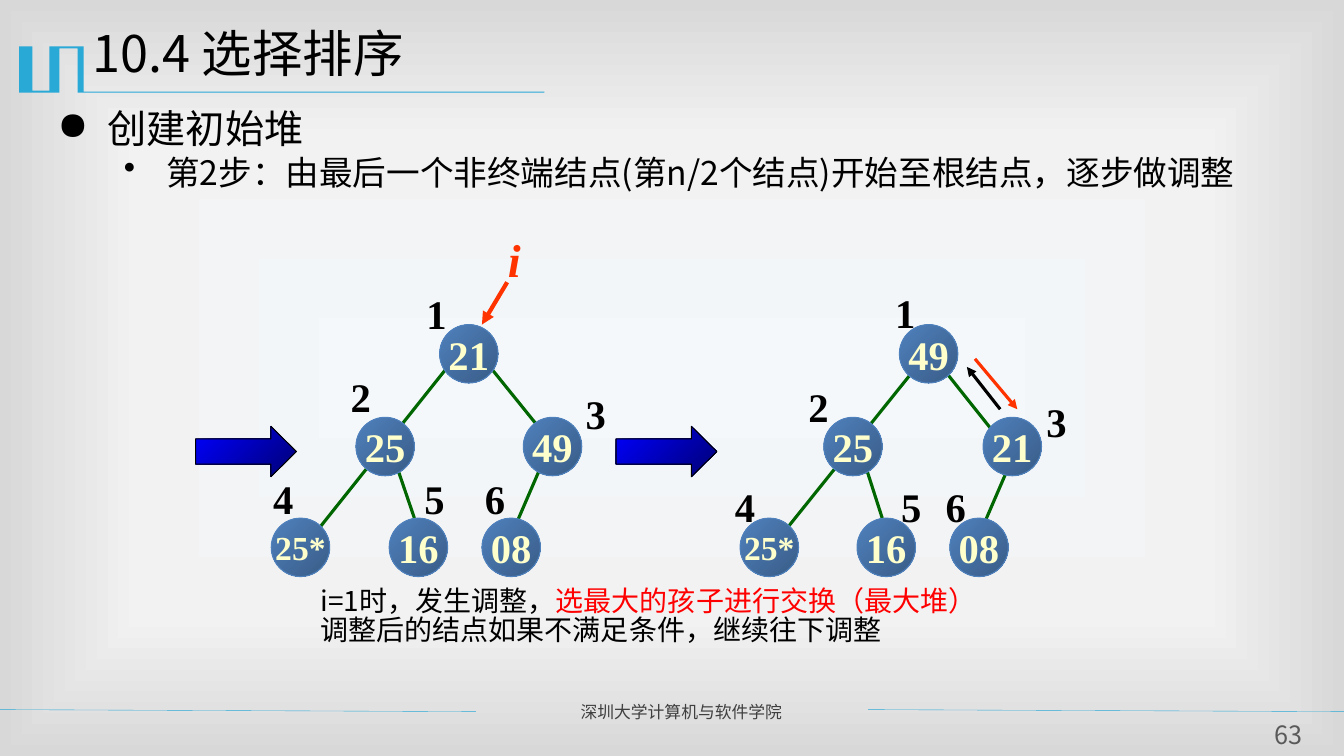
import copy

import lxml.etree
import pptx
import pptx.dml.color
import pptx.enum.shapes
import pptx.enum.text
import pptx.oxml.ns
import pptx.util

PX = 9144
SANS, SERIF = "Noto Sans CJK SC", "Times New Roman"
COLORS = {
    "black": "000000", "accent": "28A9D6", "red": "FF0000", "orange": "FF3300",
    "edge": "006600", "node": "4F81BD", "node_dark": "395C87", "value": "FFFFCC",
    "arrow": "0000FF", "arrow_dark": "000076", "footer": "3F3F3F", "number": "595959",
    "bg_center": "F4F8FB", "bg_middle": "F2F2F2", "bg_edge": "D8D8D8",
}
SHAPE = pptx.enum.shapes.MSO_SHAPE
ALIGN = pptx.enum.text.PP_ALIGN
MIDDLE = pptx.enum.text.MSO_ANCHOR.MIDDLE
NODE = 58
LEVELS = (0, 92, 92, 192, 192, 192)
EDGE_ENDS = ((142, 200), (142, 192), (42, 125), (42, 209))


def rgb(name):
    """Return the named colour."""
    return pptx.dml.color.RGBColor.from_string(COLORS[name])


def qn(tag):
    """Return the namespaced form of a tag."""
    return pptx.oxml.ns.qn(tag)


def px(*lengths):
    """Turn pixel lengths into EMU."""
    return [pptx.util.Emu(n * PX) for n in lengths]


def add_run(p, text, size, color="black", font=SANS, bold=False, italic=False):
    """Add one formatted run to a paragraph."""
    r = p.add_run()
    r.text = text
    r.font.size = pptx.util.Pt(size)
    r.font.bold, r.font.italic = bold, italic
    r.font.color.rgb = rgb(color)
    r.font.name = font
    lxml.etree.SubElement(r.font._element, qn("a:ea"), typeface=font)


def add_text(slide, x, y, w, h, wrap=True):
    """Add a text box and return its frame."""
    tf = slide.shapes.add_textbox(*px(x, y, w, h)).text_frame
    tf.word_wrap = wrap
    return tf


def indent(p, left, hang, bullet=None):
    """Set a hanging indent and an optional bullet."""
    pPr = p._p.get_or_add_pPr()
    pPr.set("marL", str(left * PX))
    pPr.set("indent", str(-hang * PX))
    if bullet:
        lxml.etree.SubElement(pPr, qn("a:buChar"), char=bullet)


def add_line(slide, x1, y1, x2, y2, color, width, arrow=False):
    """Add a straight line, with an arrowhead if asked."""
    line = slide.shapes.add_connector(
        pptx.enum.shapes.MSO_CONNECTOR.STRAIGHT, *px(x1, y1, x2, y2))
    line.line.color.rgb = rgb(color)
    line.line.width = pptx.util.Pt(width)
    if arrow:
        lxml.etree.SubElement(line.line._get_or_add_ln(), qn("a:tailEnd"), type="triangle")
    lxml.etree.SubElement(line._element.spPr, qn("a:effectLst"))


def add_gradient_shape(slide, kind, x, y, w, h, start, end, outline):
    """Add a shape with a diagonal two-colour fill."""
    sp = slide.shapes.add_shape(kind, *px(x, y, w, h))
    sp.shadow.inherit = False
    sp.fill.gradient()
    sp.fill.gradient_angle = 315
    for stop, color in zip(sp.fill.gradient_stops, (start, end)):
        stop.color.rgb = rgb(color)
    sp.line.color.rgb = rgb(outline)
    sp.line.width = pptx.util.Pt(0.75)
    return sp


def paint_background(slide):
    """Fill the background with a rectangular gradient."""
    fill = slide.background.fill
    fill.gradient()
    grad = slide._element.find(".//" + qn("a:gradFill"))
    grad.remove(grad.find(qn("a:lin")))
    stops = grad.find(qn("a:gsLst"))
    stops.insert(1, copy.deepcopy(stops[0]))
    names = ("bg_center", "bg_middle", "bg_edge")
    for stop, name, position in zip(fill.gradient_stops, names, (0, 0.63, 1)):
        stop.color.rgb = rgb(name)
        stop.position = position
    center = lxml.etree.SubElement(grad, qn("a:path"), path="rect")
    lxml.etree.SubElement(center, qn("a:fillToRect"),
                          {side: "50000" for side in "ltrb"})


def add_header(slide, x, y):
    """Draw the title and its ornamental underline."""
    outline = [(64, 0), (64, 45), (521, 45), (521, 46), (58, 46), (58, 2), (40, 2),
               (40, 46), (0, 46), (0, 0), (13, 0), (13, 44), (30, 44), (30, 0)]
    points = [(x + dx, y + dy) for dx, dy in outline]
    builder = slide.shapes.build_freeform(*points[0], scale=PX)
    builder.add_line_segments(points[1:], close=True)
    sp = builder.convert_to_shape()
    sp.shadow.inherit = False
    sp.fill.solid()
    sp.fill.fore_color.rgb = rgb("accent")
    sp.line.fill.background()
    p = add_text(slide, x + 63, y - 22, 1200, 87).paragraphs[0]
    p.line_spacing = 0.9
    add_run(p, "10.4 选择排序", 36)


def add_body(slide, x, y, w, h):
    """Write the two bullet levels."""
    tf = add_text(slide, x, y, w, h)
    p = tf.paragraphs[0]
    indent(p, 50, 50, "●")
    p.line_spacing = 0.9
    add_run(p, "创建初始堆", 28)
    p = tf.add_paragraph()
    indent(p, 108, 42, "•")
    p.line_spacing = 0.82
    p.space_before = pptx.util.Pt(5)
    add_run(p, "第2步：由最后一个非终端结点(第n/2个结点)开始至根结点，逐步做调整", 24)


def add_tree(slide, x, y, values, node_xs, edge_xs, labels):
    """Draw a six-node heap: edges, nodes, then index labels."""
    for (x1, x2), (y1, y2) in zip(edge_xs, EDGE_ENDS):
        add_line(slide, x + x1, y + y1, x + x2, y + y2, "edge", 2.25)
    for value, dx, dy in zip(values, node_xs, LEVELS):
        sp = add_gradient_shape(slide, SHAPE.OVAL, x + dx, y + dy, NODE, NODE,
                                "node", "node_dark", "node")
        tf = sp.text_frame
        tf.word_wrap = False
        tf.vertical_anchor = MIDDLE
        p = tf.paragraphs[0]
        p.alignment = ALIGN.CENTER
        add_run(p, value, 24 if len(value) > 2 else 29, "value", SERIF, True)
    for number, (dx, dy) in enumerate(labels, 1):
        tf = add_text(slide, x + dx, y + dy, 40, 59, False)
        add_run(tf.paragraphs[0], str(number), 29, "black", SERIF, True)


def add_step_arrow(slide, x, y):
    """Draw a block arrow leading to the next tree."""
    sp = add_gradient_shape(slide, SHAPE.RIGHT_ARROW, x, y, 100, 50,
                            "arrow", "arrow_dark", "black")
    sp.adjustments[1] = 0.505


def add_heaps(slide, x, y):
    """Draw the heap before and after the swap, with the marks between."""
    add_tree(slide, x + 75, y, ("21", "25", "49", "25*", "16", "08"),
             (167, 84, 250, 0, 117, 209),
             ((267, 242), (125, 142), (217, 284), (175, 42)),
             ((144, -40), (69, 42), (302, 59), (-8, 143), (142, 143), (202, 143)))
    add_line(slide, x + 309, y - 42, x + 284, y, "orange", 3, True)
    tf = add_text(slide, x + 300, y - 97, 33, 65, False)
    add_run(tf.paragraphs[0], "i", 33, "orange", SERIF, True, True)
    for dx in (0, 417):
        add_step_arrow(slide, x + dx, y + 101)
    add_tree(slide, x + 540, y, ("49", "25", "21", "25*", "16", "08"),
             (158, 83, 241, 0, 116, 208),
             ((266, 241), (125, 141), (200, 266), (175, 41)),
             ((144, -41), (58, 52), (294, 67), (-15, 151), (150, 151), (194, 151)))
    add_line(slide, x + 798, y + 84, x + 765, y + 42, "black", 2.25, True)
    add_line(slide, x + 773, y + 34, x + 815, y + 84, "orange", 2.25, True)


def add_caption(slide, x, y, w, h):
    """Explain the adjustment below the trees."""
    tf = add_text(slide, x, y, w, h)
    lines = ((("i=1时，发生调整，", "black"), ("选最大的孩子进行交换（最大堆）", "red")),
             (("调整后的结点如果不满足条件，继续往下调整", "black"),))
    for i, runs in enumerate(lines):
        p = tf.add_paragraph() if i else tf.paragraphs[0]
        indent(p, 106, 56)
        p.line_spacing = 0.85
        for text, color in runs:
            add_run(p, text, 20, color)


def add_footer(slide, x, y, w):
    """Draw the footer rules, the school name and the page number."""
    for left in (x - 1, x + w - 472):
        add_line(slide, left, y, left + 473, y + 2, "accent", 0.25)
    p = add_text(slide, x + 566, y - 13, 285, 30).paragraphs[0]
    add_run(p, "深圳大学计算机与软件学院", 12, "footer")
    tf = add_text(slide, x + w - 85, y + 9, 59, 31)
    tf.margin_left = tf.margin_right = tf.margin_top = tf.margin_bottom = 0
    tf.vertical_anchor = MIDDLE
    p = tf.paragraphs[0]
    p.alignment = ALIGN.CENTER
    add_run(p, "63", 18, "number")


def main():
    """Build and save the slide."""
    prs = pptx.Presentation()
    prs.slide_width, prs.slide_height = px(1333, 750)
    slide = prs.slides.add_slide(prs.slide_layouts[6])
    paint_background(slide)
    add_header(slide, 19, 46)
    add_body(slide, 47, 104, 1213, 137)
    add_heaps(slide, 194, 322)
    add_caption(slide, 258, 579, 801, 77)
    add_footer(slide, 0, 704, 1333)
    prs.save("out.pptx")


if __name__ == "__main__":
    main()
